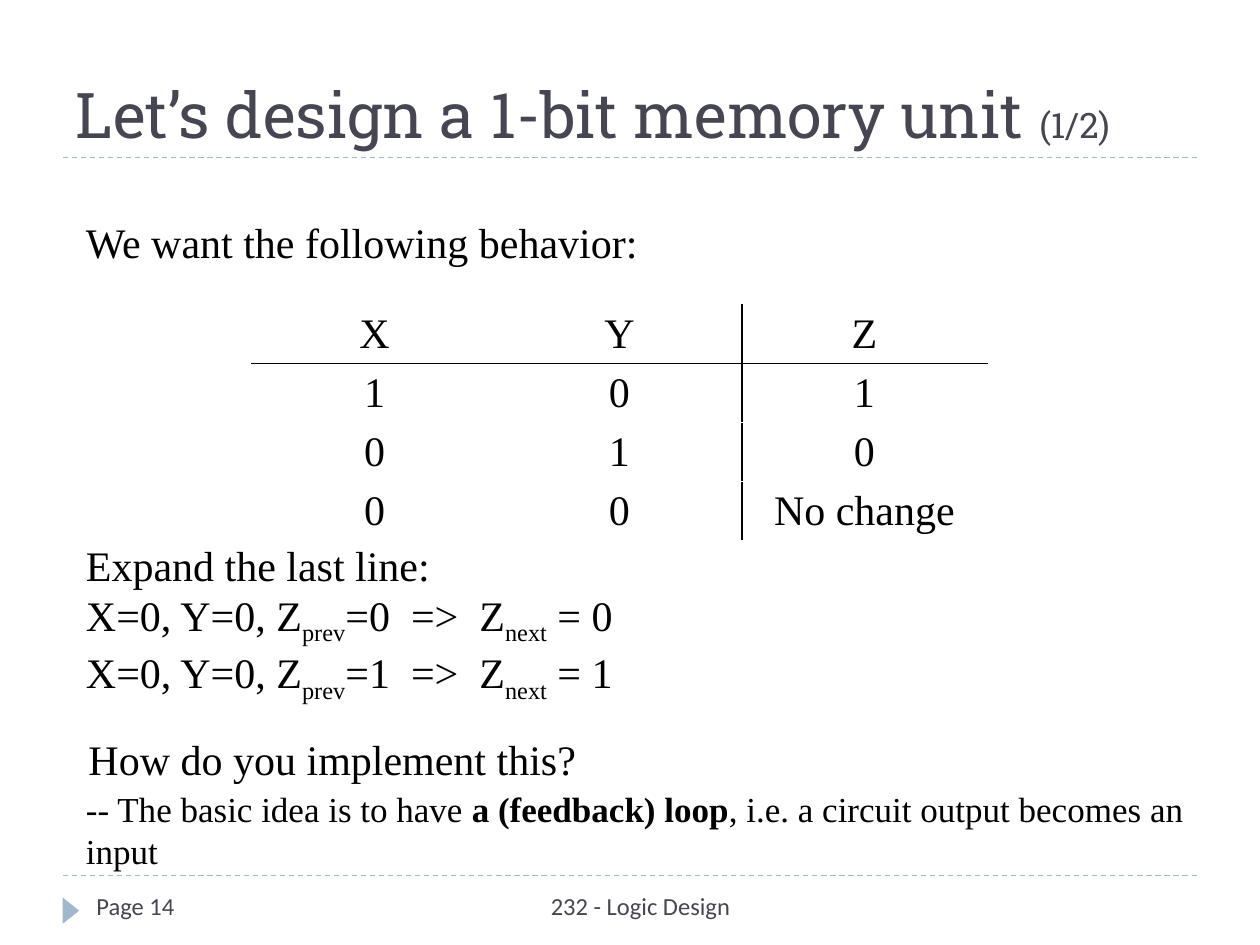
from typing import NamedTuple

from pptx import Presentation
from pptx.dml.color import RGBColor
from pptx.enum.dml import MSO_LINE
from pptx.enum.shapes import MSO_CONNECTOR, MSO_SHAPE
from pptx.enum.text import MSO_ANCHOR, MSO_AUTO_SIZE, PP_ALIGN
from pptx.oxml.ns import qn
from pptx.util import Pt
from lxml.etree import SubElement as Sub

SERIF, SLAB, SANS = "Times New Roman", "Roboto Slab", "Calibri"
BLACK, WHITE, SLATE, BLUE = "000000", "FFFFFF", "464653", "9FB8CD"
LEFT = 42  # shared left edge of the body text


class Run(NamedTuple):
    text: str
    bold: bool = False
    sub: bool = False
    size: float | None = None


class Box(NamedTuple):
    left: float
    top: float
    width: float
    height: float
    paras: list[list[Run]]
    size: float = 24
    font: str = SERIF
    color: str = BLACK
    align: PP_ALIGN = PP_ALIGN.LEFT
    wrap: bool = True


def rgb(code: str) -> RGBColor:
    return RGBColor.from_string(code)


def write(frame, paras: list[list[Run]], *, size: float = 24, font: str = SERIF,
          color: str = BLACK, align: PP_ALIGN = PP_ALIGN.LEFT) -> None:
    for i, runs in enumerate(paras):
        para = frame.add_paragraph() if i else frame.paragraphs[0]
        para.alignment = align
        for part in runs:
            run = para.add_run()
            run.text = part.text
            run.font.name = font
            run.font.size = Pt(part.size or size)
            run.font.bold = part.bold
            run.font.color.rgb = rgb(color)
            if part.sub:
                run.font._element.set("baseline", "-25000")


def draw_box(slide, box: Box) -> None:
    shape = slide.shapes.add_textbox(*map(Pt, box[:4]))
    frame = shape.text_frame
    frame.word_wrap = box.wrap
    write(frame, box.paras, size=box.size, font=box.font,
          color=box.color, align=box.align)


def draw_rule(slide, y: float) -> None:
    rule = slide.shapes.add_connector(
        MSO_CONNECTOR.STRAIGHT, Pt(36), Pt(y), Pt(684), Pt(y))
    rule.line.color.rgb = rgb(BLUE)
    rule.line.width = Pt(0.75)
    rule.line.dash_style = MSO_LINE.DASH
    Sub(rule._element.spPr, qn("a:effectLst"))


def set_edge(cell, side: str, color: str) -> None:
    line = Sub(cell._tc.get_or_add_tcPr(), qn(f"a:ln{side}"), w=str(Pt(1)))
    fill = Sub(line, qn("a:solidFill"))
    Sub(fill, qn("a:srgbClr"), val=color)


def draw_table(slide, rows: list[list[str]]) -> None:
    count, width = len(rows), len(rows[0])
    table = slide.shapes.add_table(
        count, width, Pt(144), Pt(174), Pt(420), Pt(117)).table
    table.first_row = table.horz_banding = False
    for r, row in enumerate(rows):
        for c, text in enumerate(row):
            cell = table.cell(r, c)
            # Black only below the header and before the output column
            dark = {"L": c == width - 1, "R": c == width - 2,
                    "T": r == 1, "B": r == 0}
            for side, on in dark.items():
                set_edge(cell, side, BLACK if on else WHITE)
            cell.fill.solid()
            cell.fill.fore_color.rgb = rgb(WHITE)
            write(cell.text_frame, [[Run(text)]], align=PP_ALIGN.CENTER)


def state(bit: int) -> list[Run]:
    return [Run("X=0, Y=0, Z"), Run("prev", sub=True),
            Run(f"={bit}  =>  Z"), Run("next", sub=True), Run(f" = {bit}")]


def main() -> None:
    deck = Presentation()
    deck.slide_width, deck.slide_height = Pt(720), Pt(540)
    slide = deck.slides.add_slide(deck.slide_layouts[5])

    # Rules and page marker
    for y in (500.4, 90):
        draw_rule(slide, y)
    mark = slide.shapes.add_shape(
        MSO_SHAPE.ISOSCELES_TRIANGLE, Pt(33), Pt(515.7), Pt(15), Pt(9.4))
    mark.rotation = 90
    mark.shadow.inherit = False
    mark.fill.solid()
    mark.fill.fore_color.rgb = rgb(BLUE)
    mark.line.fill.background()

    # Title
    title = slide.shapes.title
    title.left, title.top, title.width, title.height = map(Pt, (36, 12, 648, 78))
    frame = title.text_frame
    frame.auto_size = MSO_AUTO_SIZE.NONE
    frame.vertical_anchor = MSO_ANCHOR.BOTTOM
    write(frame, [[Run("Let’s design a 1-bit memory unit "),
                   Run("(1/2)", size=20)]],
          size=36, font=SLAB, color=SLATE)

    # Truth table
    draw_table(slide, [["X", "Y", "Z"], ["1", "0", "1"],
                       ["0", "1", "0"], ["0", "0", "No change"]])

    # Footer and body text
    boxes = [
        Box(228, 505.5, 276, 29, [[Run("232 - Logic Design")]],
            14, SANS, SLATE, PP_ALIGN.CENTER),
        Box(48, 505.5, 156, 29, [[Run("Page 14")]], 14, SANS, SLATE),
        Box(LEFT, 304.5, 325, 124,
            [[Run("Expand the last line:")], state(0), state(1)], wrap=False),
        Box(LEFT, 120, 338, 36,
            [[Run("We want the following behavior:")]], wrap=False),
        Box(43.5, 415.5, 302, 36,
            [[Run("How do you implement this?")]], wrap=False),
        Box(LEFT, 446.5, 642, 55,
            [[Run("-- The basic idea is to have "),
              Run("a (feedback) loop", bold=True),
              Run(", i.e. a circuit output becomes an input")]], 20),
    ]
    for box in boxes:
        draw_box(slide, box)

    deck.save("out.pptx")


if __name__ == "__main__":
    main()
